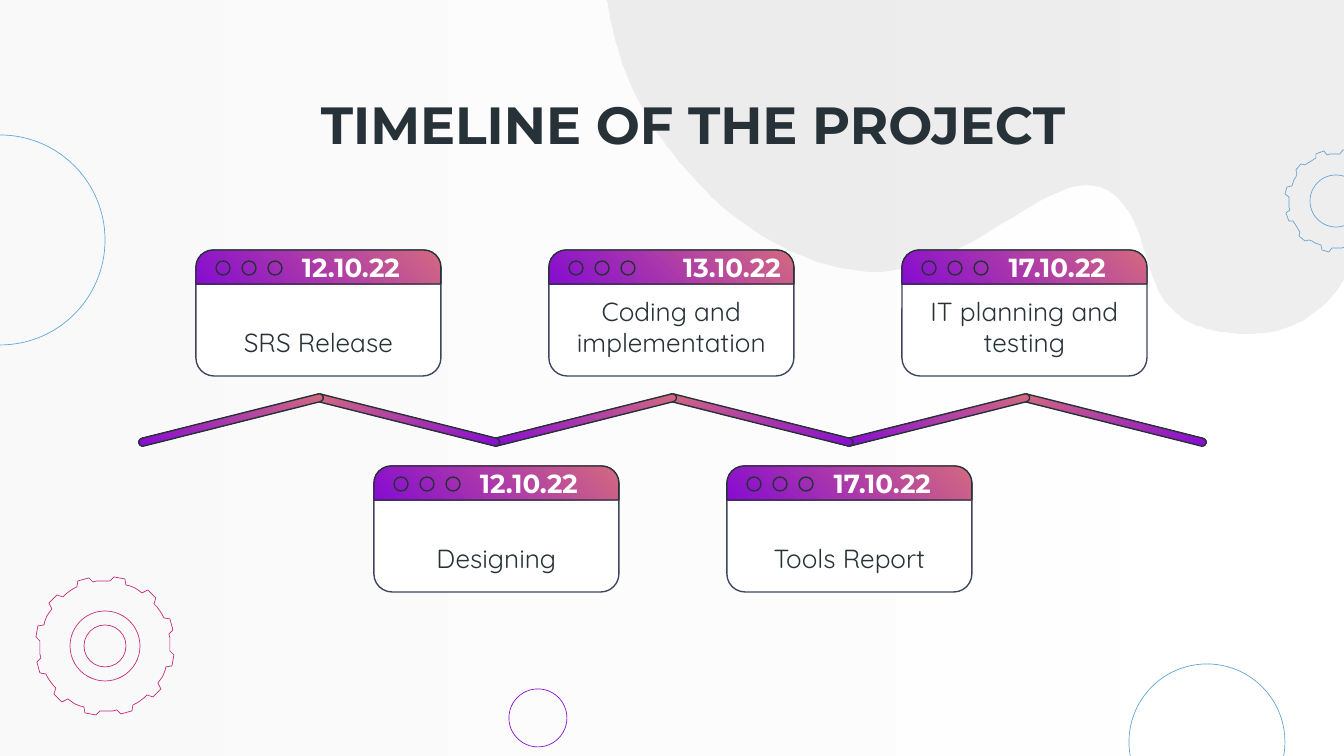
from math import cos, radians, sin

from lxml import etree
from pptx import Presentation
from pptx.dml.color import RGBColor
from pptx.enum.shapes import MSO_SHAPE as SHAPE
from pptx.enum.text import MSO_ANCHOR as ANCHOR, PP_ALIGN as ALIGN
from pptx.oxml.ns import qn
from pptx.util import Pt

PX = 914400 / 134.4
W, H = 1344, 756
INSET = 13

INK, WHITE = "263238", "FFFFFF"
PINK, PURPLE, BLUE, MAGENTA = "D36980", "860CD1", "63A4D5", "C52878"
HAIR, THIN = 0.36, 0.75

TITLE = "TIMELINE OF THE PROJECT"
UPPER_ROW, LOWER_ROW = (196, 250), (374, 466)
CARD_PITCH, CARD_W, CARD_H, HEADER_H = 353, 245, 126, 34
# row origin, column, date, right edge of the date box within the card, task
CARDS = [
    (UPPER_ROW, 0, "12.10.22", 217, "SRS Release"),
    (UPPER_ROW, 1, "13.10.22", 245, "Coding and implementation"),
    (UPPER_ROW, 2, "17.10.22", 217, "IT planning and testing"),
    (LOWER_ROW, 0, "12.10.22", 217, "Designing"),
    (LOWER_ROW, 1, "17.10.22", 217, "Tools Report"),
]
DATE_W = 132
DOT_X, DOT_Y, DOT_PITCH, DOT_SIZE = 20, 11, 26, 14

BARS, BAR_X, BAR_Y, BAR_PITCH, BAR_W, BAR_H, BAR_TILT = 6, 136, 416, 176.6, 190, 8, 14.1

# centre x, centre y, radius, colour
CIRCLES = [
    (538, 718, 29, PURPLE),
    (0, 240, 105, BLUE),
    (1207, 742, 78, BLUE),
    (105, 646, 35, MAGENTA),
    (105, 646, 21, MAGENTA),
    (1336, 201, 26, BLUE),
]
# centre x, centre y, tip radius, root radius, colour
GEARS = [(105, 646, 70, 65, MAGENTA), (1336, 201, 51, 47, BLUE)]
TEETH, TOOTH_ANGLE, TIP_HALF, ROOT_HALF = 12, 12, 4.5, 7.2

# control, control, end of each Bezier curve
BLOB_START = (607, 0)
BLOB_CURVES = [
    ((607, 0), (613, 42), (630, 83)),
    ((655, 137), (691, 181), (731, 214)),
    ((786, 257), (849, 280), (902, 269)),
    ((992, 253), (1064, 156), (1113, 194)),
    ((1152, 227), (1140, 284), (1177, 314)),
    ((1189, 324), (1207, 331), (1232, 333)),
    ((1293, 339), (1323, 312), (1344, 280)),
]


def px(n):
    return int(n * PX)


def rgb(hex_text):
    return RGBColor.from_string(hex_text)


def set_alpha(sp, percent):
    for clr in sp._element.spPr.iter(qn("a:srgbClr")):
        etree.SubElement(clr, qn("a:alpha")).set("val", str(percent * 1000))


def style(sp, fill=None, line=None, width=THIN, angle=225):
    """Set fill (None, a colour, or a pair for a gradient) and outline."""
    sp.shadow.inherit = False
    if fill is None:
        sp.fill.background()
    elif isinstance(fill, tuple):
        sp.fill.gradient()
        sp.fill.gradient_angle = angle
        for stop, color in zip(sp.fill.gradient_stops, fill):
            stop.color.rgb = rgb(color)
    else:
        sp.fill.solid()
        sp.fill.fore_color.rgb = rgb(fill)
    if line:
        sp.line.color.rgb = rgb(line)
        sp.line.width = Pt(width)
    else:
        sp.line.fill.background()
    return sp


def add(shapes, kind, x, y, w, h, **look):
    return style(shapes.add_shape(kind, px(x), px(y), px(w), px(h)), **look)


def add_outline(shapes, points, **look):
    fb = shapes.build_freeform(*points[0], scale=PX)
    fb.add_line_segments(points[1:], close=True)
    return style(fb.convert_to_shape(), **look)


def write(sp, text, anchor, align, left=INSET, **font):
    tf = sp.text_frame
    frame = dict(word_wrap=True, vertical_anchor=anchor, margin_left=px(left),
                 margin_right=px(INSET), margin_top=px(INSET), margin_bottom=px(INSET))
    for name, value in frame.items():
        setattr(tf, name, value)
    p = tf.paragraphs[0]
    p.alignment = align
    r = p.add_run()
    r.text = text
    r.font.color.rgb = rgb(font.pop("color"))
    for name, value in font.items():
        setattr(r.font, name, value)


def add_text(shapes, x, y, w, h, text, align, **font):
    box = shapes.add_textbox(px(x), px(y), px(w), px(h))
    write(box, text, ANCHOR.MIDDLE, align, **font)


def blob_points(steps=24):
    points = [BLOB_START]
    for b, c, d in BLOB_CURVES:
        a = points[-1]
        for i in range(1, steps + 1):
            t = i / steps
            u = 1 - t
            points.append(tuple(u**3 * a[k] + 3 * u * u * t * b[k] + 3 * u * t * t * c[k]
                                + t**3 * d[k] for k in (0, 1)))
    return points + [(W, 0)]


def gear_points(cx, cy, tip, root):
    points = []
    for i in range(TEETH):
        middle = TOOTH_ANGLE + i * 360 / TEETH
        for offset, radius in ((-ROOT_HALF, root), (-TIP_HALF, tip), (TIP_HALF, tip),
                               (ROOT_HALF, root), (11, root), (15, root), (19, root)):
            a = radians(middle + offset)
            points.append((cx + radius * cos(a), cy + radius * sin(a)))
    return points


def add_background(shapes):
    wash = add(shapes, SHAPE.RECTANGLE, 0, 0, W, H, fill=(WHITE, "F3F3F3"), angle=180)
    blob = add_outline(shapes, blob_points(), fill="D6D7D7")
    for sp in (wash, blob):
        set_alpha(sp, 41)
    for *gear, color in GEARS:
        add_outline(shapes, gear_points(*gear), line=color, width=HAIR)
    for cx, cy, r, color in CIRCLES:
        add(shapes, SHAPE.OVAL, cx - r, cy - r, 2 * r, 2 * r, line=color, width=HAIR)


def add_zigzag(shapes):
    for i in reversed(range(BARS)):
        bar = add(shapes, SHAPE.ROUNDED_RECTANGLE, BAR_X + i * BAR_PITCH, BAR_Y, BAR_W, BAR_H,
                  fill=(PINK, PURPLE), line=INK)
        bar.adjustments[0] = 0.5
        bar.rotation = BAR_TILT if i % 2 else 360 - BAR_TILT
        if i % 2:
            bar._element.spPr.find(qn("a:xfrm")).set("flipH", "1")


def add_card(shapes, origin, column, date, date_right, task):
    x, y = origin[0] + column * CARD_PITCH, origin[1]
    card = shapes.add_group_shape().shapes
    body = add(card, SHAPE.ROUNDED_RECTANGLE, x, y, CARD_W, CARD_H, fill=WHITE, line="3D465E")
    body.adjustments[0] = 0.144
    write(body, task, ANCHOR.BOTTOM, ALIGN.CENTER, name="Quicksand", size=Pt(14), color=INK)
    header = add(card, SHAPE.ROUND_2_SAME_RECTANGLE, x, y, CARD_W, HEADER_H,
                 fill=(PINK, PURPLE), line=INK)
    header.adjustments[0] = 0.5
    for i in range(3):
        add(card, SHAPE.OVAL, x + DOT_X + i * DOT_PITCH, y + DOT_Y, DOT_SIZE, DOT_SIZE, line=INK)
    add_text(shapes, x + date_right - DATE_W, y, DATE_W, HEADER_H, date, ALIGN.RIGHT,
             name="Montserrat", size=Pt(14), bold=True, color=WHITE)


def main():
    prs = Presentation()
    prs.slide_width, prs.slide_height = px(W), px(H)
    shapes = prs.slides.add_slide(prs.slide_layouts[6]).shapes
    add_background(shapes)
    add_text(shapes, 105, 97, 1134, 54, TITLE, ALIGN.CENTER, left=INSET + 42,
             name="Montserrat", size=Pt(28), bold=True, color=INK)
    add_zigzag(shapes)
    for card in CARDS:
        add_card(shapes, *card)
    prs.save("out.pptx")


if __name__ == "__main__":
    main()
